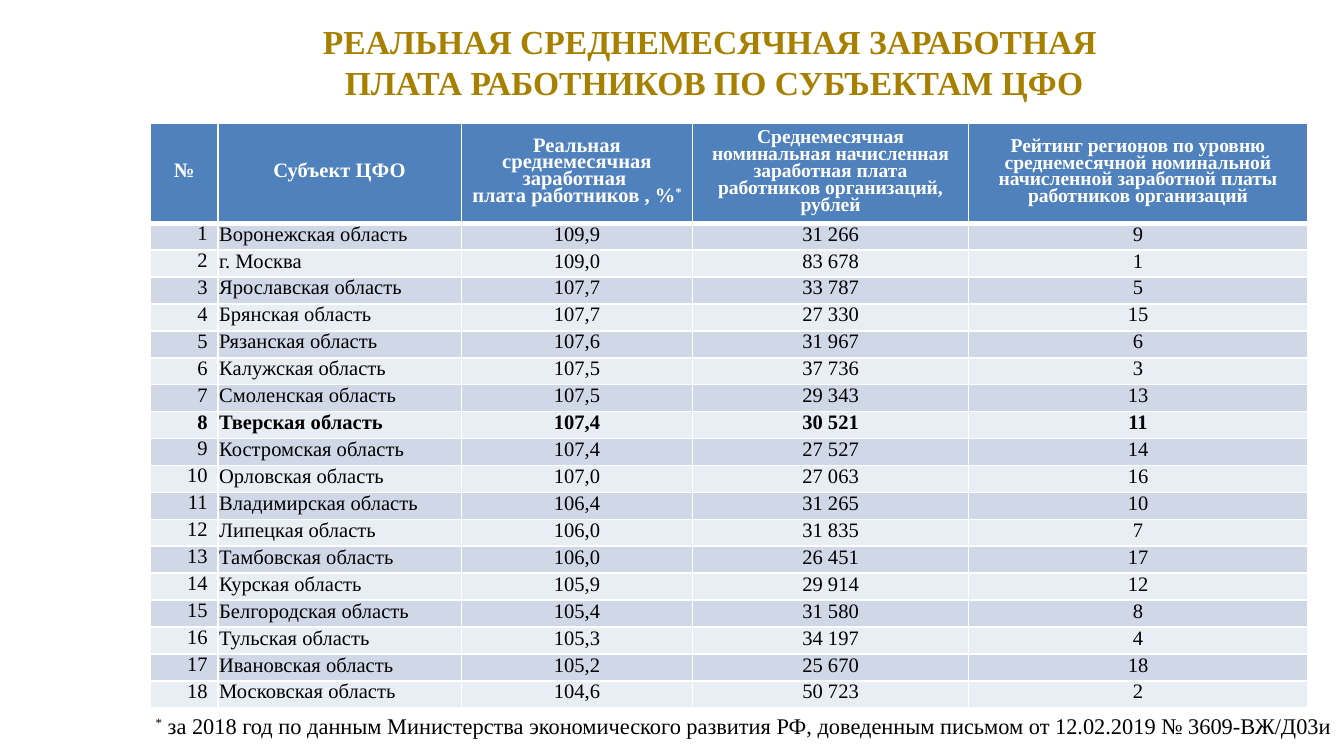
import lxml.etree
import pptx
import pptx.dml.color
import pptx.enum.text
import pptx.oxml.ns
import pptx.util

Inches = pptx.util.Inches
Pt = pptx.util.Pt
ALIGN = pptx.enum.text.PP_ALIGN
ANCHOR = pptx.enum.text.MSO_ANCHOR
FONT = "Times New Roman"
WHITE, BLACK, GOLD = "FFFFFF", "000000", "A88000"
HEADER_FILL = "4F81BD"
BAND_FILLS = ["D0D8E8", "E9EDF4"]
COLUMN_WIDTHS = [0.5, 1.81, 1.72, 2.05, 2.52]
HEADER_HEIGHT, ROW_HEIGHT = 0.74, 0.15
WIDE_INSETS = (Pt(5.4), Pt(2.7), Pt(5.4), Pt(2.7))
TIGHT_INSETS = (Inches(0.01), Inches(0.01), Inches(0.01), 0)
HIGHLIGHTED = "Тверская область"

TITLE = ["РЕАЛЬНАЯ СРЕДНЕМЕСЯЧНАЯ ЗАРАБОТНАЯ ", "ПЛАТА РАБОТНИКОВ ПО СУБЪЕКТАМ ЦФО"]
HEADERS = [
    (11, [["№"]]),
    (11, [["Субъект ЦФО"]]),
    (11, [["Реальная среднемесячная заработная "], ["плата работников , %", "*"]]),
    (10.5, [["Среднемесячная номинальная начисленная заработная плата работников организаций, рублей"]]),
    (10.5, [["Рейтинг регионов по уровню среднемесячной номинальной начисленной заработной платы "
             "работников организаций"]]),
]
REGIONS = [
    ("Воронежская область", "109,9", "31 266", "9"),
    ("г. Москва", "109,0", "83 678", "1"),
    ("Ярославская область", "107,7", "33 787", "5"),
    ("Брянская область", "107,7", "27 330", "15"),
    ("Рязанская область", "107,6", "31 967", "6"),
    ("Калужская область", "107,5", "37 736", "3"),
    ("Смоленская область", "107,5", "29 343", "13"),
    ("Тверская область", "107,4", "30 521", "11"),
    ("Костромская область", "107,4", "27 527", "14"),
    ("Орловская область", "107,0", "27 063", "16"),
    ("Владимирская область", "106,4", "31 265", "10"),
    ("Липецкая область", "106,0", "31 835", "7"),
    ("Тамбовская область", "106,0", "26 451", "17"),
    ("Курская область", "105,9", "29 914", "12"),
    ("Белгородская область", "105,4", "31 580", "8"),
    ("Тульская область", "105,3", "34 197", "4"),
    ("Ивановская область", "105,2", "25 670", "18"),
    ("Московская область", "104,6", "50 723", "2"),
]
FOOTNOTE = ["*", " за 2018 год по данным Министерства экономического развития РФ, "
            "доведенным письмом от 12.02.2019 № 3609-ВЖ/Д03и"]


def rgb(color):
    return pptx.dml.color.RGBColor.from_string(color)


def add_run(p, text, size, color, bold=False):
    r = p.add_run()
    r.text = text
    r.font.name = FONT
    r.font.size = Pt(size)
    r.font.bold = bold
    r.font.color.rgb = rgb(color)
    if text == "*":
        r.font._element.set("baseline", "30000")


def add_paragraphs(tf, paragraphs, size, color, bold=False, align=ALIGN.LEFT, spacing=None):
    for i, runs in enumerate(paragraphs):
        p = tf.add_paragraph() if i else tf.paragraphs[0]
        p.alignment = align
        p.space_before = Pt(0)
        if spacing:
            p.line_spacing = spacing
        for text in runs:
            add_run(p, text, size, color, bold)


def set_insets(target, insets):
    sides = ("left", "top", "right", "bottom")
    for side, inset in zip(sides, insets):
        setattr(target, "margin_" + side, inset)


def add_borders(cell, top=1, bottom=1):
    tc_pr = cell._tc.get_or_add_tcPr()
    qn = pptx.oxml.ns.qn
    for side, width in (("L", 1), ("R", 1), ("T", top), ("B", bottom)):
        ln = lxml.etree.SubElement(tc_pr, qn("a:ln" + side), w=str(Pt(width)))
        fill = lxml.etree.SubElement(ln, qn("a:solidFill"))
        lxml.etree.SubElement(fill, qn("a:srgbClr"), val=WHITE)


def format_cell(cell, fill, insets, top=1, bottom=1):
    add_borders(cell, top, bottom)
    cell.fill.solid()
    cell.fill.fore_color.rgb = rgb(fill)
    cell.vertical_anchor = ANCHOR.MIDDLE
    set_insets(cell, insets)


def place_title(s, left, top, width, height):
    sp = s.shapes.title
    sp.left, sp.top, sp.width, sp.height = map(Inches, (left, top, width, height))
    tf = sp.text_frame
    tf.word_wrap = True
    tf.auto_size = pptx.enum.text.MSO_AUTO_SIZE.NONE
    tf.vertical_anchor = ANCHOR.TOP
    set_insets(tf, WIDE_INSETS)
    add_paragraphs(tf, [[line] for line in TITLE], 18, GOLD, True, ALIGN.CENTER)


def add_wage_table(s, left, top, width, height):
    frame = s.shapes.add_table(len(REGIONS) + 1, len(HEADERS), *map(Inches, (left, top, width, height)))
    table = frame.table
    for column, share in zip(table.columns, COLUMN_WIDTHS):
        column.width = Inches(width * share / sum(COLUMN_WIDTHS))
    for row in table.rows:
        row.height = Inches(ROW_HEIGHT)
    table.rows[0].height = Inches(HEADER_HEIGHT)
    frame.width, frame.height = Inches(width), Inches(height)

    for col, (size, paragraphs) in enumerate(HEADERS):
        cell = table.cell(0, col)
        format_cell(cell, HEADER_FILL, WIDE_INSETS, bottom=3)
        add_paragraphs(cell.text_frame, paragraphs, size, WHITE, True, ALIGN.CENTER, Pt(9))

    aligns = [ALIGN.RIGHT, ALIGN.LEFT] + [ALIGN.CENTER] * 3
    for number, region in enumerate(REGIONS, 1):
        bold = region[0] == HIGHLIGHTED
        for col, text in enumerate((str(number), *region)):
            cell = table.cell(number, col)
            insets = TIGHT_INSETS if col else WIDE_INSETS
            format_cell(cell, BAND_FILLS[(number - 1) % 2], insets, top=3 if number == 1 else 1)
            add_paragraphs(cell.text_frame, [[text]], 11, BLACK, bold, aligns[col], Pt(9))


def add_footnote(s, left, top, width, height):
    tf = s.shapes.add_textbox(*map(Inches, (left, top, width, height))).text_frame
    tf.word_wrap = False
    tf.auto_size = pptx.enum.text.MSO_AUTO_SIZE.SHAPE_TO_FIT_TEXT
    add_paragraphs(tf, [FOOTNOTE], 12, BLACK)


def main():
    prs = pptx.Presentation()
    prs.slide_width = Inches(10)
    prs.slide_height = prs.slide_width * 9 // 16
    s = prs.slides.add_slide(prs.slide_layouts[5])
    place_title(s, 0.9, 0.12, 8.83, 0.8)
    add_wage_table(s, 1.12, 0.92, 8.61, 4.34)
    add_footnote(s, 1.06, 5.25, 9.07, 0.3)
    prs.save("out.pptx")


if __name__ == "__main__":
    main()
